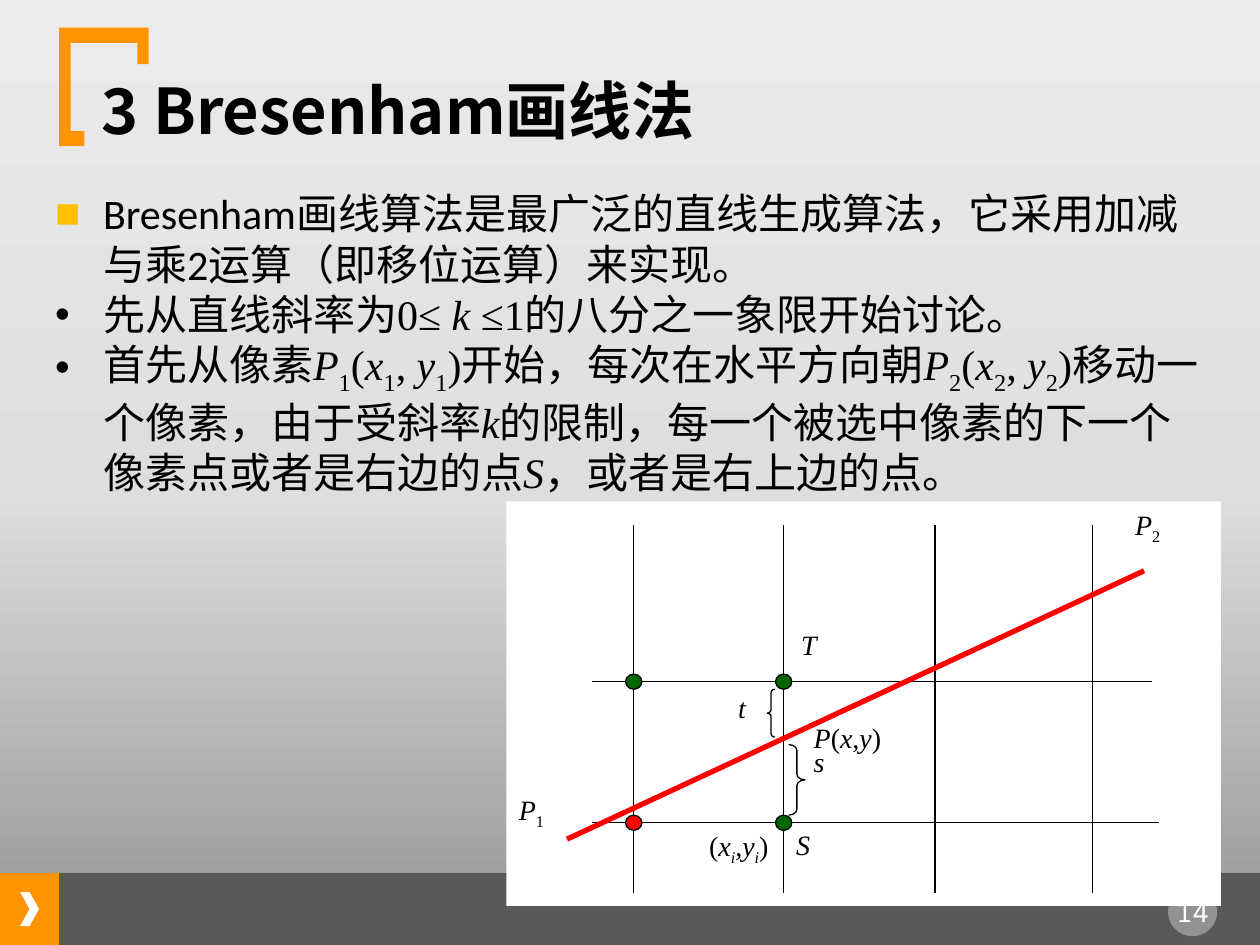
from lxml import etree
from pptx import Presentation
from pptx.dml.color import RGBColor
from pptx.enum import shapes as kinds, text as txt
from pptx.oxml import parse_xml
from pptx.oxml.ns import nsdecls, qn
from pptx.util import Inches, Pt

HUE = dict(orange="FF9300", dark="595959", white="FFFFFF", black="000000",
           gold="FFC000", red="FF0000", green="006600")
FADE = [(0, "949494"), (48, "DEDEDE"), (100, "EBEBEB")]
SERIF = "Times New Roman"
COLS, ROWS = 100, 75  # the slide as a grid of square cells
SHAPE, ALIGN = kinds.MSO_SHAPE, txt.PP_ALIGN

deck = Presentation()
deck.slide_width, deck.slide_height = Inches(10), Inches(7.5)
CELL = deck.slide_width / COLS
page = deck.slides.add_slide(deck.slide_layouts[6])


def cells(*nums):
    return [round(n * CELL) for n in nums]


def rgb(name):
    return RGBColor.from_string(HUE[name])


def part(kind, x, y, w, h, fill, edge=None, adj=()):
    item = page.shapes.add_shape(kind, *cells(x, y, w, h))
    for i, val in enumerate(adj):
        item.adjustments[i] = val
    return paint(item, fill, edge)


def paint(item, fill, edge=None):
    item.shadow.inherit = False
    item.fill.solid()
    item.fill.fore_color.rgb = rgb(fill)
    if edge:
        item.line.color.rgb = rgb(edge)
        item.line.width = Pt(0.75)
    else:
        item.line.fill.background()
    return item


def rule(x1, y1, x2, y2, hue="black", wide=0.75):
    item = page.shapes.add_connector(
        kinds.MSO_CONNECTOR.STRAIGHT, *cells(x1, y1, x2, y2))
    item.line.color.rgb = rgb(hue)
    item.line.width = Pt(wide)
    etree.SubElement(item._element.spPr, qn("a:effectLst"))


def write(para, words, size=16, font=SERIF, east=None, hue="black", bold=False):
    """Add runs to a paragraph: * switches italic, _ switches subscript."""
    slant = low = False
    for i, bit in enumerate(words.replace("_", "*_*").split("*")):
        if bit == "_":
            low = not low
            slant = not slant  # undo the switch made by the split
        elif bit:
            run = para.add_run()
            run.text = bit
            face = run.font
            face.size, face.name, face.bold = Pt(size), font, bold
            face.italic = slant
            face.color.rgb = rgb(hue)
            props = run._r.get_or_add_rPr()
            if low:
                props.set("baseline", "-25000")
            if east:
                etree.SubElement(props, qn("a:ea")).set("typeface", east)
            slant = not slant
        else:
            slant = not slant


def label(words, x, y, w, h, align=ALIGN.LEFT, mid=False, **form):
    frame = page.shapes.add_textbox(*cells(x, y, w, h)).text_frame
    frame.word_wrap = True
    if mid:
        frame.vertical_anchor = txt.MSO_ANCHOR.MIDDLE
    para = frame.paragraphs[0]
    para.alignment = align
    write(para, words, **form)
    return frame


def bullet(para, mark, hue):
    props = para._p.get_or_add_pPr()
    props.set("marL", str(Inches(0.38)))
    props.set("indent", str(-Inches(0.38)))
    for xml in (f'<a:buClr {nsdecls("a")}><a:srgbClr val="{HUE[hue]}"/></a:buClr>',
                f'<a:buFont {nsdecls("a")} typeface="Arial"/>',
                f'<a:buChar {nsdecls("a")} char="{mark}"/>'):
        props.append(parse_xml(xml))


def ground():
    fill = page.background.fill
    fill.gradient()
    fill.gradient_angle = 90
    stops = page._element.find(".//" + qn("a:gsLst"))
    for old in list(stops):
        stops.remove(old)
    for pos, tone in FADE:
        stops.append(parse_xml(f'<a:gs {nsdecls("a")} pos="{pos * 1000}">'
                               f'<a:srgbClr val="{tone}"/></a:gs>'))


def footer(x, y, w, h):
    tab = 4.7
    part(SHAPE.RECTANGLE, x, y, tab, h, "orange")
    part(SHAPE.RECTANGLE, x + tab, y, w - tab, h, "dark")
    part(SHAPE.CHEVRON, x + 1.6, y + 1.5, 1.5, 2.7, "white")
    disc = part(SHAPE.OVAL, x + w - 7.3, y + 1.1, 3.9, 3.9, "white")
    tone = disc._element.spPr.find(".//" + qn("a:srgbClr"))
    etree.SubElement(tone, qn("a:alpha")).set("val", "35000")
    label("14", x + w - 8, y + 1.2, 5.3, 3.7, ALIGN.CENTER, mid=True,
          font="Noto Sans Mono", hue="white")


def header(x, y, w, h):
    # Corner bracket
    pts = [(0, 0), (7.1, 0), (7.1, 2.9), (6.2, 2.9), (6.2, 1.2),
           (0.9, 1.2), (0.9, 8.2), (2, 8.2), (2, 9.4), (0, 9.4)]
    pen = page.shapes.build_freeform(*cells(x, y))
    pen.add_line_segments([cells(x + a, y + b) for a, b in pts[1:]])
    paint(pen.convert_to_shape(), "orange")
    # Title
    face = "Noto Sans CJK SC"
    label("3 Bresenham画线法", x + 2.4, y + 2.9, w, h, mid=True,
          size=36, font=face, east=face, bold=True)


def body(x, y, w, h):
    lines = [
        ("■", "gold", "Calibri",
         "Bresenham画线算法是最广泛的直线生成算法，它采用加减与乘2运算（即移位运算）来实现。"),
        ("•", "black", SERIF, "先从直线斜率为0≤ *k *≤1的八分之一象限开始讨论。"),
        ("•", "black", SERIF,
         "首先从像素*P*_1_(*x*_1_, *y*_1_)开始，每次在水平方向朝"
         "*P*_2_(*x*_2_, *y*_2_)移动一个像素，由于受斜率*k*的限制，"
         "每一个被选中像素的下一个像素点或者是右边的点*S*，或者是右上边的点。"),
    ]
    frame = label("", x, y, w, h)
    for i, (mark, hue, font, words) in enumerate(lines):
        para = frame.add_paragraph() if i else frame.paragraphs[0]
        bullet(para, mark, hue)
        write(para, words, size=24, font=font, east="Calibri")


def figure(x, y, w, h):
    part(SHAPE.RECTANGLE, x, y, w, h, "white")
    # Pixel grid and the line being drawn
    cols, rows = (10.1, 22, 34, 46.5), (14.3, 25.5)
    for c in cols:
        rule(x + c, y + 1.9, x + c, y + 31.1)
    for r, end in zip(rows, (51.2, 51.8)):
        rule(x + 6.8, y + r, x + end, y + r)
    rule(x + 4.8, y + 26.8, x + 50.6, y + 5.5, "red", 3)
    # Pixels
    for c in cols[:2]:
        for r in rows:
            start = (c, r) == (cols[0], rows[1])
            part(SHAPE.OVAL, x + c - 0.65, y + r - 0.6, 1.3, 1.2,
                 "red" if start else "green", "black")
    # Distances s and t
    part(SHAPE.RIGHT_BRACE, x + 22.4, y + 19.3, 1.3, 5.6, "white", "black", (0.35, 0.5))
    part(SHAPE.LEFT_BRACE, x + 20.7, y + 14.9, 0.6, 3.8, "white", "black", (0.49, 0.5))
    # Labels
    for words, a, b, wide in [
            ("*T*", 22.4, 9.5, 7.8), ("*S*", 22, 25.4, 9.1),
            ("*s*", 23.4, 18.8, 9), ("*t*", 17.4, 14.5, 4.9),
            ("*P*_1_", 0, 22.6, 7.8), ("*P*_2_", 48.9, 0, 7.8),
            ("*P*(*x,y*)", 23.4, 16.9, 7.8)]:
        label(words, x + a, y + b, wide, 5, ALIGN.JUSTIFY)
    note = label("(*x*_*i*_*,y*_*i*_)", x + 10.1, y + 25.5, 12.6, 5, ALIGN.JUSTIFY)
    note.paragraphs[0]._p.get_or_add_pPr().set("marL", str(Inches(0.5)))


ground()
footer(0, 69.3, COLS, ROWS - 69.3)
header(4.7, 2.2, 81, 7.1)
body(3.4, 14.4, 92.7, 50.7)
figure(40.2, 39.8, 56.7, 32.1)
deck.save("out.pptx")
